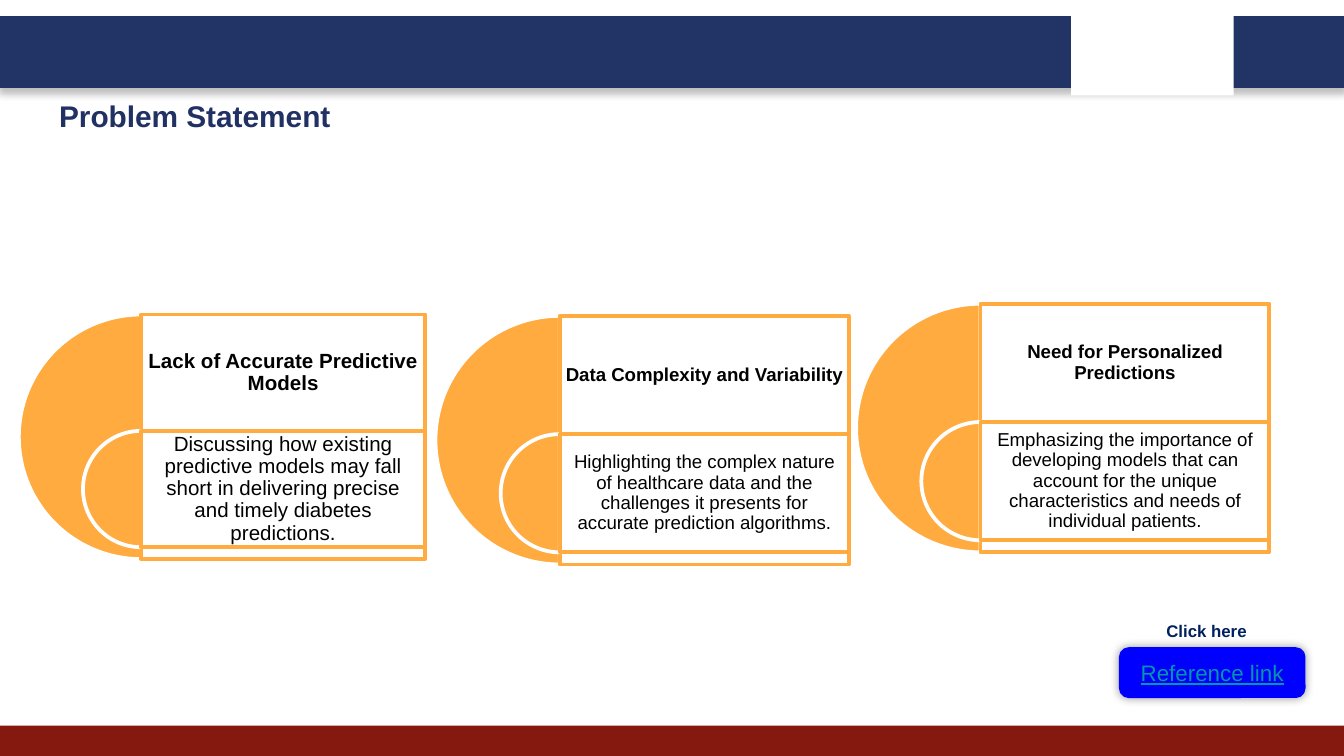
from lxml import etree
from pptx import Presentation
from pptx.dml.color import RGBColor
from pptx.enum.shapes import MSO_SHAPE as Preset
from pptx.enum.text import MSO_ANCHOR as Anchor, PP_ALIGN as Align
from pptx.oxml.ns import qn
from pptx.util import Inches, Pt

COLORS = {
    "navy": "223366", "title": "213163", "maroon": "851910", "white": "FFFFFF",
    "orange": "FFAB40", "black": "000000", "blue": "0000FF", "teal": "0097A7",
    "label": "002060",
}
TITLE = "Problem Statement"
LINK_LABEL = "Click here"
LINK_TEXT = "Reference link"
PROBLEMS = [
    {"left": 0.14, "top": 2.34, "diameter": 1.82, "size": 11, "inset": 0.05,
     "heading": "Lack of Accurate Predictive Models",
     "detail": "Discussing how existing predictive models may fall short in "
               "delivering precise and timely diabetes predictions."},
    {"left": 3.24, "top": 2.35, "diameter": 1.85, "size": 10, "inset": 0.04,
     "heading": "Data Complexity and Variability",
     "detail": "Highlighting the complex nature of healthcare data and the "
               "challenges it presents for accurate prediction algorithms."},
    {"left": 6.37, "top": 2.26, "diameter": 1.85, "size": 10, "inset": 0.04,
     "heading": "Need for Personalized Predictions",
     "detail": "Emphasizing the importance of developing models that can account "
               "for the unique characteristics and needs of individual patients."},
]
ROW_SHARE = 0.88 / 1.85
PANEL_SHARE = 2.15 / 1.85


def color(name):
    return RGBColor.from_string(COLORS[name])


def add_shape(slide, preset, box, fill, line=None, opacity=None):
    shape = slide.shapes.add_shape(preset, *map(Inches, box))
    shape.shadow.inherit = False
    shape.fill.solid()
    shape.fill.fore_color.rgb = color(fill)
    if line:
        shape.line.color.rgb = color(line)
        shape.line.width = Pt(2)
    else:
        shape.line.fill.background()
    if opacity:
        fill_color = shape._element.spPr.find(qn("a:solidFill"))[0]
        etree.SubElement(fill_color, qn("a:alpha"), val=str(opacity * 1000))
    return shape


def add_shadow(shape, opacity, blur, distance, angle):
    effects = shape._element.spPr.find(qn("a:effectLst"))
    shadow = etree.SubElement(
        effects, qn("a:outerShdw"), blurRad=str(Pt(blur)), dist=str(Pt(distance)),
        dir=str(angle * 60000), algn="ctr", rotWithShape="0")
    shade = etree.SubElement(shadow, qn("a:srgbClr"), val=COLORS["black"])
    etree.SubElement(shade, qn("a:alpha"), val=str(opacity * 1000))


def write(shape, text, size, ink, bold=False, align=Align.LEFT, anchor=Anchor.TOP, inset=None):
    frame = shape.text_frame
    frame.word_wrap = True
    frame.vertical_anchor = anchor
    if inset is not None:
        frame.margin_left = frame.margin_right = Inches(inset)
        frame.margin_top = frame.margin_bottom = Inches(inset)
    paragraph = frame.paragraphs[0]
    paragraph.alignment = align
    run = paragraph.add_run()
    run.text = text
    run.font.name = "Arial"
    run.font.size = Pt(size)
    run.font.bold = bold
    run.font.color.rgb = color(ink)
    return paragraph


def add_half_circle(slide, left, top, diameter):
    pie = add_shape(slide, Preset.PIE, (left, top, diameter, diameter), "orange", "white")
    pie.adjustments[0] = 54
    pie.adjustments[1] = 162


def add_problem(slide, problem):
    left, top, diameter = problem["left"], problem["top"], problem["diameter"]
    middle = left + diameter / 2
    row = diameter * ROW_SHARE
    width = diameter * PANEL_SHARE
    levels = [
        (top, diameter, problem["heading"], True),
        (top + row, row, problem["detail"], False),
    ]
    for level_top, height, text, bold in levels:
        add_half_circle(slide, middle - height / 2, level_top, height)
        add_shape(slide, Preset.RECTANGLE, (middle, level_top, width, height),
                  "white", "orange", 90)
        box = slide.shapes.add_textbox(*map(Inches, (middle, level_top, width, row)))
        paragraph = write(box, text, problem["size"], "black", bold,
                          Align.CENTER, Anchor.MIDDLE, problem["inset"])
        paragraph.line_spacing = 0.9


def main():
    presentation = Presentation()
    presentation.slide_width = Inches(10)
    presentation.slide_height = presentation.slide_width * 9 // 16
    slide = presentation.slides.add_slide(presentation.slide_layouts[5])

    banner = add_shape(slide, Preset.RECTANGLE, (0, 0.13, 10, 0.51), "navy", "navy")
    add_shadow(banner, 25, 4, 3, 90)
    add_shape(slide, Preset.RECTANGLE, (0, 5.4, 10, 0.23), "maroon")
    add_shape(slide, Preset.RECTANGLE, (7.97, 0.07, 1.21, 0.64), "white")

    title = slide.shapes.title
    title.left, title.top, title.width, title.height = map(Inches, (0.34, 0.63, 9.32, 0.48))
    write(title, TITLE, 16, "title", bold=True, inset=0.1)

    for problem in PROBLEMS:
        add_problem(slide, problem)

    button = add_shape(slide, Preset.ROUNDED_RECTANGLE, (8.34, 4.83, 1.36, 0.35), "blue", "blue")
    add_shadow(button, 40, 5, 0, 0)
    paragraph = write(button, LINK_TEXT, 12, "teal", align=Align.CENTER, anchor=Anchor.MIDDLE)
    paragraph.runs[0].font.underline = True
    label = slide.shapes.add_textbox(*map(Inches, (8.58, 4.57, 0.87, 0.25)))
    write(label, LINK_LABEL, 9, "label", bold=True)

    presentation.save("out.pptx")


if __name__ == "__main__":
    main()
